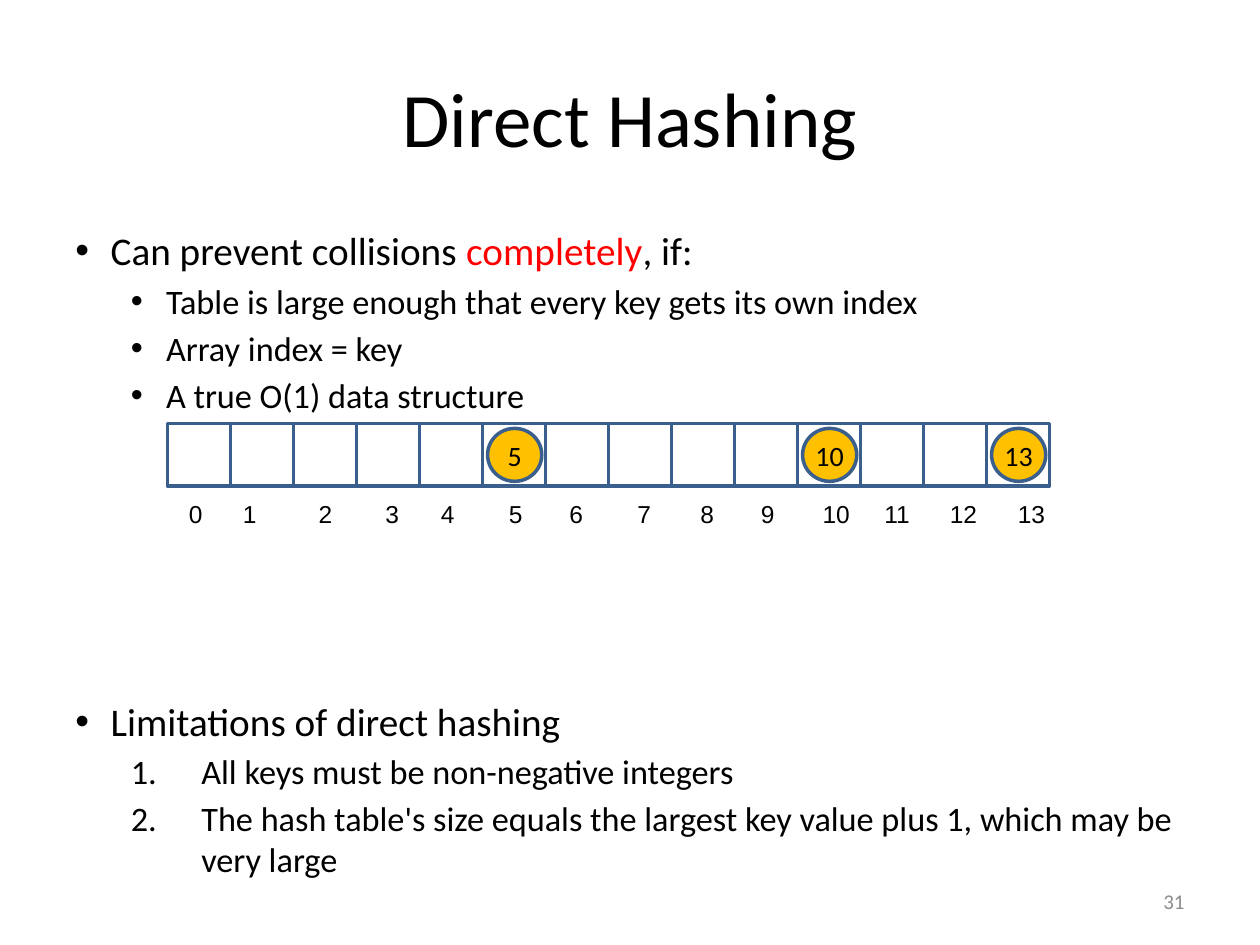
from pptx import Presentation
from pptx import util as u
from pptx.dml.color import RGBColor
from pptx.enum import shapes, text
from pptx.oxml.ns import qn
from lxml import etree

COLORS = {"text": "000000", "accent": "FF0000", "line": "3A5F8C",
          "key": "FFC000", "number": "8C8C8C"}
ALIGN = text.PP_ALIGN

# (text, level, bullet, space before in points)
POINTS = [
    ([("Can prevent collisions ", "text"), ("completely", "accent"),
      (", if:", "text")], 0, "•", 4),
    ([("Table is large enough that every key gets its own index", "text")], 1, "•", 3.5),
    ([("Array index = key", "text")], 1, "•", 3.5),
    ([("A true O(1) data structure", "text")], 1, "•", 3.5),
    ([("Limitations of direct hashing", "text")], 0, "•", 161),
    ([("All keys must be non-negative integers", "text")], 1, "1.", 3.5),
    ([("The hash table's size equals the largest key value plus 1, "
       "which may be very large", "text")], 1, "1.", 3.5),
]
INDENTS = {(0, "•"): (0.28, -0.28), (1, "•"): (0.72, -0.28), (1, "1."): (1, -0.56)}
SIZES = [22.4, 19.6]
SLOTS = 14
KEYS = [5, 10, 13]
# Left edges of labels 1 to 13, measured from label 0
LABEL_TABS = [0.43, 1.03, 1.56, 2, 2.54, 3.02, 3.56,
              4.06, 4.54, 5.03, 5.52, 6.04, 6.58]


def rgb(name):
    return RGBColor.from_string(COLORS[name])


def add_run(p, words, size, color="text", font="Calibri"):
    r = p.add_run()
    r.text = words
    r.font.size = u.Pt(size)
    r.font.name = font
    r.font.color.rgb = rgb(color)


def add_text_box(parent, box, anchor=text.MSO_ANCHOR.TOP):
    tf = parent.add_textbox(*map(u.Inches, box)).text_frame
    tf.word_wrap = True
    tf.vertical_anchor = anchor
    return tf


def add_line(parent, box, words, size, align, color="text"):
    p = add_text_box(parent, box, text.MSO_ANCHOR.MIDDLE).paragraphs[0]
    p.alignment = align
    add_run(p, words, size, color)


def set_bullet(p, bullet, left, indent):
    pPr = p._p.get_or_add_pPr()
    pPr.set("marL", str(u.Inches(left)))
    pPr.set("indent", str(u.Inches(indent)))
    if bullet == "1.":
        etree.SubElement(pPr, qn("a:buAutoNum"), type="arabicPeriod")
    else:
        etree.SubElement(pPr, qn("a:buFont"), typeface="Arial")
        etree.SubElement(pPr, qn("a:buChar"), char=bullet)


def add_points(parent, box):
    tf = add_text_box(parent, box)
    for i, (runs, level, bullet, before) in enumerate(POINTS):
        p = tf.add_paragraph() if i else tf.paragraphs[0]
        p.level = level
        p.space_before = u.Pt(before)
        set_bullet(p, bullet, *INDENTS[level, bullet])
        for words, color in runs:
            add_run(p, words, SIZES[level], color)


def add_outlined(parent, kind, box, fill=None):
    sp = parent.add_shape(kind, *map(u.Inches, box))
    sp.shadow.inherit = False
    sp.line.color.rgb = rgb("line")
    sp.line.width = u.Pt(2)
    if fill:
        sp.fill.solid()
        sp.fill.fore_color.rgb = rgb(fill)
    else:
        sp.fill.background()
    return sp


def add_hash_table(parent, left, top, cell):
    group = parent.add_group_shape().shapes
    # Array slots
    for i in range(SLOTS):
        add_outlined(group, shapes.MSO_SHAPE.RECTANGLE,
                     (left + i * cell, top, cell, cell))
    # Stored keys, each in the slot of its own value
    for key in KEYS:
        sp = add_outlined(group, shapes.MSO_SHAPE.OVAL,
                          (left + key * cell + 0.04, top + 0.04, 0.43, 0.42), "key")
        tf = sp.text_frame
        tf.margin_left = tf.margin_right = tf.margin_top = tf.margin_bottom = 0
        tf.word_wrap = False
        tf.vertical_anchor = text.MSO_ANCHOR.MIDDLE
        p = tf.paragraphs[0]
        p.alignment = ALIGN.CENTER
        add_run(p, str(key), 16)
    # Index labels on tab stops
    tf = add_text_box(group, (left + 0.07, top + cell + 0.05, 7.03, 0.34))
    p = tf.paragraphs[0]
    tabs = etree.SubElement(p._p.get_or_add_pPr(), qn("a:tabLst"))
    for pos in LABEL_TABS:
        etree.SubElement(tabs, qn("a:tab"), pos=str(u.Inches(pos)), algn="l")
    add_run(p, "\t".join(map(str, range(SLOTS))), 14, font="Arial")


def main():
    prs = Presentation()
    prs.slide_width, prs.slide_height = u.Inches(10), u.Inches(7.5)
    s = prs.slides.add_slide(prs.slide_layouts[6])
    add_line(s.shapes, (0.5, 0.3, 9, 1.25), "Direct Hashing", 44, ALIGN.CENTER)
    add_points(s.shapes, (0.5, 1.75, 9, 4.95))
    add_line(s.shapes, (7.17, 6.95, 2.33, 0.4), "31", 12, ALIGN.RIGHT, "number")
    add_hash_table(s.shapes, 1.33, 3.36, 0.5)
    prs.save("out.pptx")


if __name__ == "__main__":
    main()
